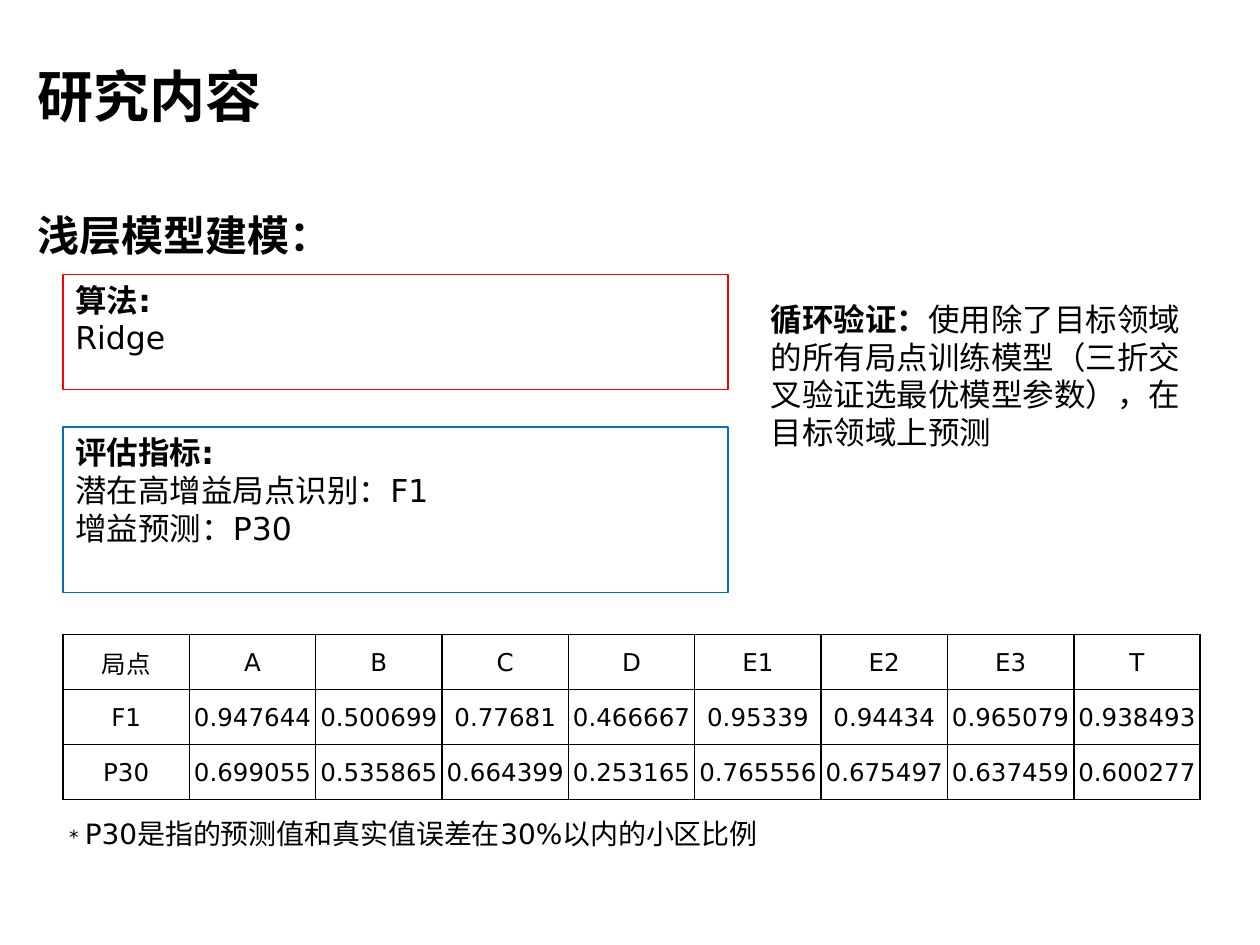
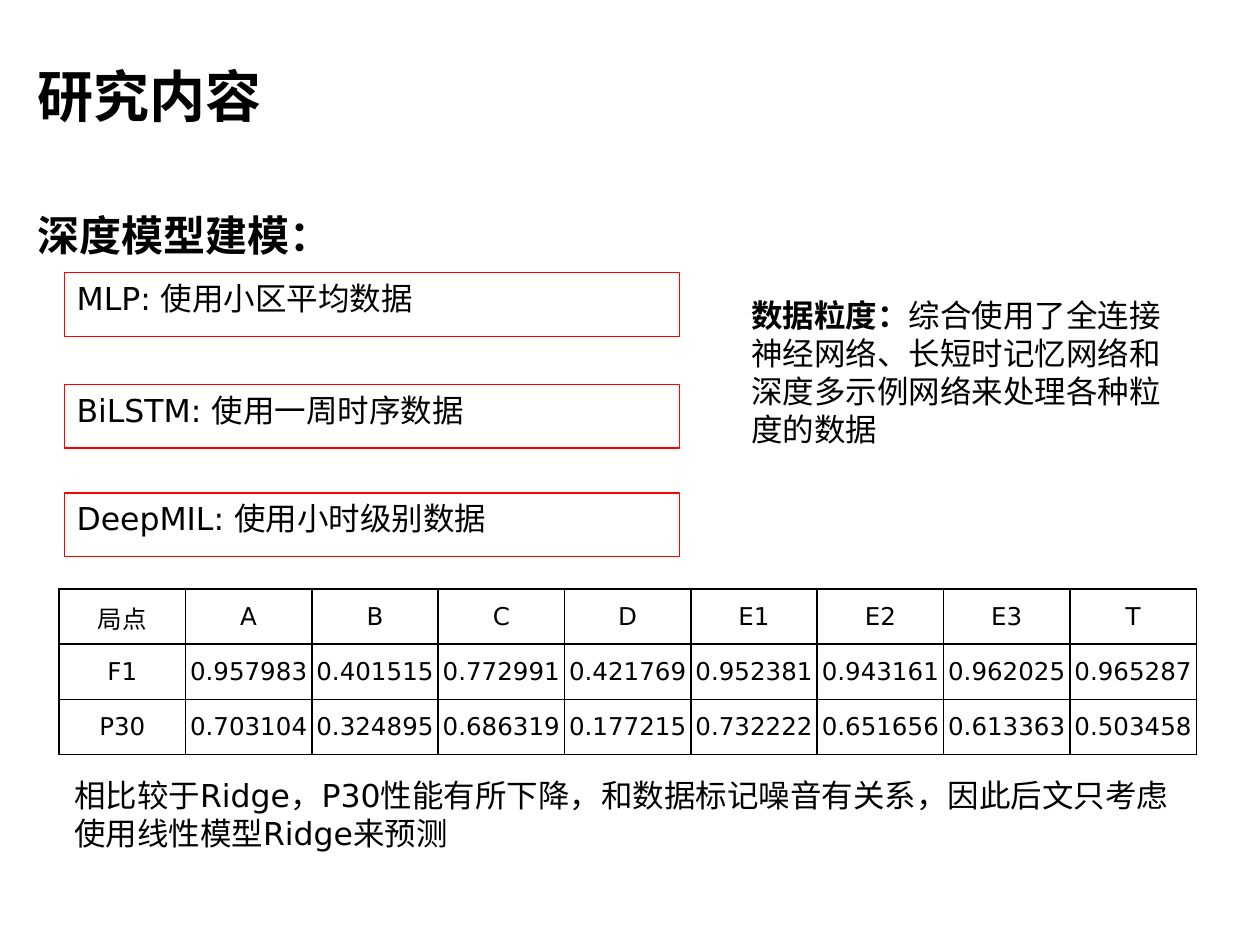
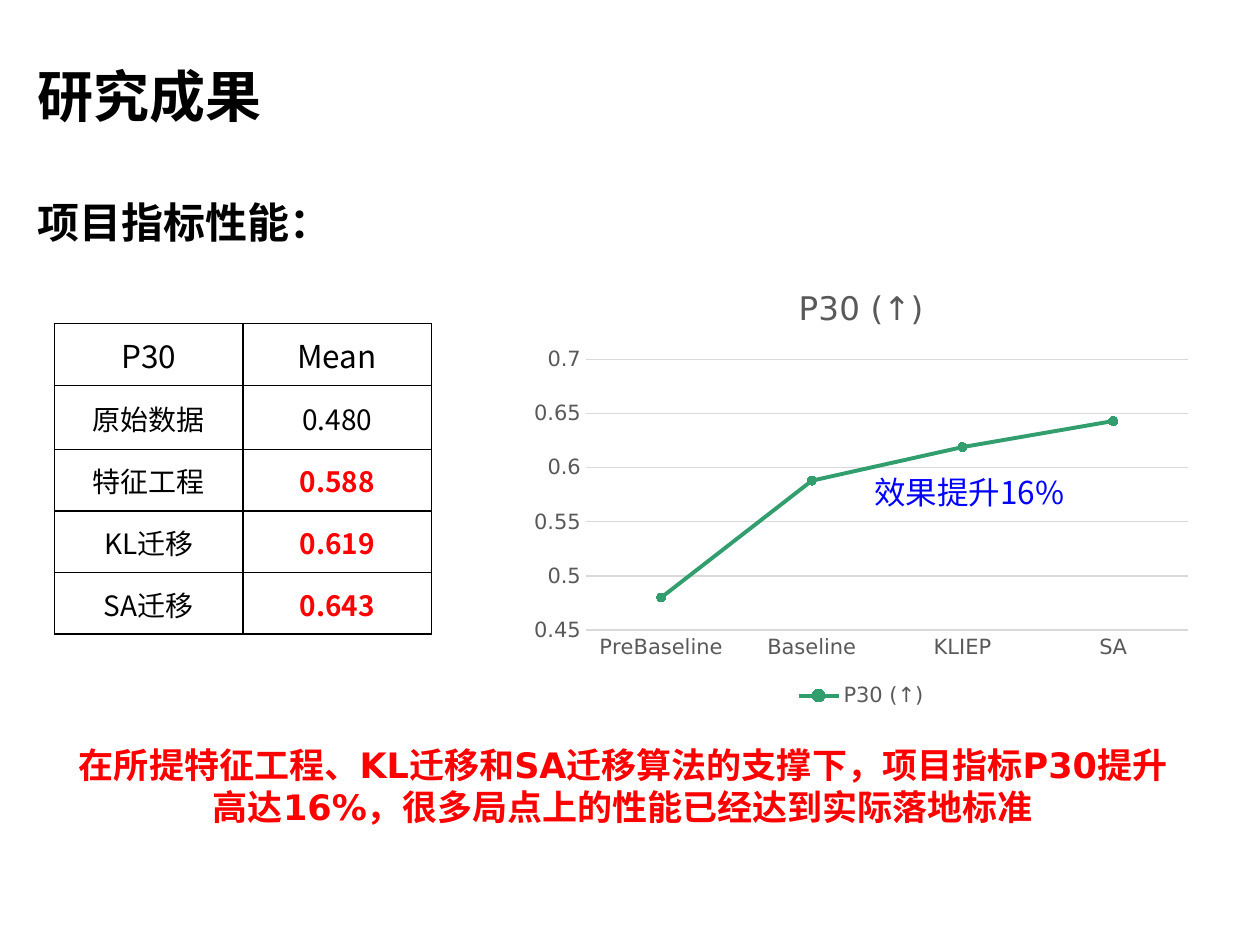
"""Build three slides on model training, evaluation and project results."""
from lxml import etree
from pptx import Presentation
from pptx.chart.data import CategoryChartData
from pptx.dml.color import RGBColor
from pptx.enum.chart import XL_CHART_TYPE, XL_LEGEND_POSITION, XL_MARKER_STYLE, XL_TICK_MARK
from pptx.enum.shapes import MSO_SHAPE
from pptx.enum.text import MSO_ANCHOR, PP_ALIGN
from pptx.oxml.ns import qn
from pptx.util import Pt

LINE_CHART = XL_CHART_TYPE.LINE_MARKERS_STACKED
BOTTOM = XL_LEGEND_POSITION.BOTTOM
CIRCLE = XL_MARKER_STYLE.CIRCLE
NO_TICKS = XL_TICK_MARK.NONE
RECTANGLE = MSO_SHAPE.RECTANGLE
TOP, MIDDLE = MSO_ANCHOR.TOP, MSO_ANCHOR.MIDDLE
LEFT, CENTER = PP_ALIGN.LEFT, PP_ALIGN.CENTER

BLACK = RGBColor(0x00, 0x00, 0x00)
RED = RGBColor(0xFF, 0x00, 0x00)
BLUE = RGBColor(0x00, 0x70, 0xC0)
BRIGHT_BLUE = RGBColor(0x00, 0x00, 0xFF)
GREEN = RGBColor(0x32, 0x9E, 0x6E)
DARK_GREEN = RGBColor(0x16, 0x75, 0x4D)
GRAY = RGBColor(0x59, 0x59, 0x59)
LIGHT_GRAY = RGBColor(0xD9, 0xD9, 0xD9)

SANS = "DejaVu Sans"
CHINESE = "Noto Sans CJK SC"
SERIF = "Times New Roman"

BOLD = {"bold": True}
TITLE_BOX = (14.4, 31.7, 442, 46)
SITES = ("局点", "A", "B", "C", "D", "E1", "E2", "E3", "T")
SITE_COLUMNS = [72.2] * len(SITES)
SITE_ROWS = [31.45] * 3

SHALLOW = {
    "title": "研究内容",
    "heading": ("浅层模型建模：", 101.5),
    "panels": [
        ((36, 156.8, 380, 65.8), RED, [[("算法:", BOLD)], "Ridge"]),
        ((36, 244, 380, 94.6), BLUE,
         [[("评估指标:", BOLD)], "潜在高增益局点识别：F1", "增益预测：P30"]),
    ],
    "texts": [
        ((433.5, 167.8, 255, 152.6),
         [[("循环验证：", BOLD),
           ("使用除了目标领域的所有局点训练模型（三折交叉验证选最优模型参数），在目标领域上预测", {})]]),
        ((32.4, 463, 487.5, 26.6),
         [[("* ", {"size": 11}),
           ("P30是指的预测值和真实值误差在30%以内的小区比例", {"size": 16})]]),
    ],
    "table_at": (36, 362.7),
    "scores": [
        ("F1", "0.947644", "0.500699", "0.77681", "0.466667",
         "0.95339", "0.94434", "0.965079", "0.938493"),
        ("P30", "0.699055", "0.535865", "0.664399", "0.253165",
         "0.765556", "0.675497", "0.637459", "0.600277"),
    ],
}
DEEP = {
    "title": "研究内容",
    "heading": ("深度模型建模：", 101.5),
    "panels": [
        ((36.7, top, 351.4, 36.3), RED, [text])
        for top, text in (
            (155.9, "MLP: 使用小区平均数据"),
            (219.7, "BiLSTM: 使用一周时序数据"),
            (281.7, "DeepMIL: 使用小时级别数据"),
        )
    ],
    "texts": [
        ((422.3, 165.8, 255, 152.6),
         [[("数据粒度：", BOLD),
           ("综合使用了全连接神经网络、长短时记忆网络和深度多示例网络来处理各种粒度的数据", {})]]),
        ((35.3, 440, 648, 51),
         ["相比较于Ridge，P30性能有所下降，和数据标记噪音有关系，因此后文只考虑使用线性模型Ridge来预测"]),
    ],
    "table_at": (33.8, 336.7),
    "scores": [
        ("F1", "0.957983", "0.401515", "0.772991", "0.421769",
         "0.952381", "0.943161", "0.962025", "0.965287"),
        ("P30", "0.703104", "0.324895", "0.686319", "0.177215",
         "0.732222", "0.651656", "0.613363", "0.503458"),
    ],
}
RESULTS_TITLE = "研究成果"
RESULTS_HEADING = ("项目指标性能：", 94.3)
MEANS = [
    ("P30", "Mean"),
    ("原始数据", "0.480"),
    ("特征工程", "0.588"),
    ("KL迁移", "0.619"),
    ("SA迁移", "0.643"),
]
MEAN_ROWS = (35.2, 36.6, 35.2, 35.2, 35.2)
CURVE_NAME = "P30 (↑)"
CURVE = {"PreBaseline": 0.48, "Baseline": 0.588, "KLIEP": 0.619, "SA": 0.643}
GAIN = "效果提升16%"
CONCLUSION = "在所提特征工程、KL迁移和SA迁移算法的支撑下，项目指标P30提升高达16%，很多局点上的性能已经达到实际落地标准"


def points(values):
    return [Pt(value) for value in values]


def style_font(font, size, color, name=SANS, bold=False):
    font.size, font.name, font.bold = Pt(size), name, bold
    font.color.rgb = color


def write_text(frame, paragraphs, size=18, color=BLACK, name=SANS, bold=False,
               align=LEFT, anchor=TOP, spacing=None):
    """Fill a frame; a paragraph is a string or a list of (text, overrides)."""
    frame.word_wrap = True
    frame.vertical_anchor = anchor
    for index, runs in enumerate(paragraphs):
        paragraph = frame.add_paragraph() if index else frame.paragraphs[0]
        paragraph.alignment = align
        if spacing:
            paragraph.line_spacing = spacing
        for text, overrides in [(runs, {})] if isinstance(runs, str) else runs:
            run = paragraph.add_run()
            run.text = text
            base = {"size": size, "color": color, "name": name, "bold": bold}
            style_font(run.font, **{**base, **overrides})
            east_asian = etree.SubElement(run.font._element, qn("a:ea"))
            east_asian.set("typeface", CHINESE)


def add_text(slide, box, paragraphs, **text_format):
    shape = slide.shapes.add_textbox(*points(box))
    write_text(shape.text_frame, paragraphs, **text_format)


def add_panel(slide, box, color, paragraphs):
    shape = slide.shapes.add_shape(RECTANGLE, *points(box))
    shape.shadow.inherit = False
    shape.fill.background()
    shape.line.color.rgb = color
    shape.line.width = Pt(0.75)
    write_text(shape.text_frame, paragraphs)


def add_borders(cell):
    properties = cell._tc.get_or_add_tcPr()
    for index, side in enumerate(("lnL", "lnR", "lnT", "lnB")):
        line = etree.Element(qn(f"a:{side}"), w=str(Pt(1)))
        fill = etree.SubElement(line, qn("a:solidFill"))
        etree.SubElement(fill, qn("a:srgbClr"), val=str(BLACK))
        properties.insert(index, line)


def add_grid(slide, position, widths, heights, rows, cell_format):
    """Add a ruled table; cell_format gives the text format for a row and column."""
    size = (sum(widths), sum(heights))
    table = slide.shapes.add_table(len(rows), len(widths), *points(position + size)).table
    table.first_row = table.horz_banding = False
    for column, width in zip(table.columns, widths):
        column.width = Pt(width)
    for row_index, values in enumerate(rows):
        table.rows[row_index].height = Pt(heights[row_index])
        for column_index, value in enumerate(values):
            cell = table.cell(row_index, column_index)
            cell.margin_left = cell.margin_right = cell.margin_top = Pt(0.75)
            cell.margin_bottom = 0
            cell.fill.background()
            add_borders(cell)
            cell.vertical_anchor = MIDDLE
            text_format = cell_format(row_index, column_index)
            write_text(cell.text_frame, [value], align=CENTER, anchor=MIDDLE, **text_format)


def score_format(row, column):
    return {"size": 14, "name": SANS if row or column else CHINESE}


def mean_format(row, column):
    improved = row > 1 and column == 1
    return {"size": 16 if row else 18, "name": CHINESE,
            "color": RED if improved else BLACK, "bold": improved}


def add_curve(slide, box):
    data = CategoryChartData()
    data.categories = list(CURVE)
    data.add_series(CURVE_NAME, list(CURVE.values()))
    chart = slide.shapes.add_chart(LINE_CHART, *points(box), data).chart
    style_font(chart.font, 10, BLACK)

    chart.has_title = True
    title_paragraph = chart.chart_title.text_frame.paragraphs[0]
    title_run = title_paragraph.add_run()
    title_run.text = CURVE_NAME
    style_font(title_run.font, 18.6, GRAY)

    chart.has_legend = True
    chart.legend.position = BOTTOM
    chart.legend.include_in_layout = False
    style_font(chart.legend.font, 12, GRAY)

    category_axis, value_axis = chart.category_axis, chart.value_axis
    for axis in (category_axis, value_axis):
        axis.major_tick_mark = axis.minor_tick_mark = NO_TICKS
        style_font(axis.tick_labels.font, 12, GRAY)
    value_axis.minimum_scale, value_axis.maximum_scale = 0.45, 0.7
    value_axis.major_unit = 0.05
    value_axis.format.line.fill.background()
    for line in (category_axis.format.line, value_axis.major_gridlines.format.line):
        line.color.rgb = LIGHT_GRAY
        line.width = Pt(0.75)

    chart.plots[0].vary_by_categories = False
    series = chart.plots[0].series[0]
    series.smooth = False
    series.format.line.color.rgb = GREEN
    series.format.line.width = Pt(2.25)
    series.marker.style, series.marker.size = CIRCLE, 5
    series.marker.format.fill.solid()
    series.marker.format.fill.fore_color.rgb = DARK_GREEN
    series.marker.format.line.color.rgb = GREEN


def add_slide(presentation, title, heading):
    slide = presentation.slides.add_slide(presentation.slide_layouts[5])
    shape = slide.shapes.title
    shape.left, shape.top, shape.width, shape.height = points(TITLE_BOX)
    write_text(shape.text_frame, [title], size=32, name=CHINESE, bold=True)
    text, top = heading
    add_text(slide, (14.4, top, 363, 46.8), [text], size=24, name=SERIF, bold=True, spacing=1.5)
    return slide


def add_model_slide(presentation, content):
    slide = add_slide(presentation, content["title"], content["heading"])
    for box, color, paragraphs in content["panels"]:
        add_panel(slide, box, color, paragraphs)
    for box, paragraphs in content["texts"]:
        add_text(slide, box, paragraphs)
    add_grid(slide, content["table_at"], SITE_COLUMNS, SITE_ROWS,
             [SITES] + content["scores"], score_format)


def add_results_slide(presentation):
    slide = add_slide(presentation, RESULTS_TITLE, RESULTS_HEADING)
    add_curve(slide, (297.4, 151.2, 389.5, 256.3))
    add_text(slide, (492.5, 267, 147.6, 36), [GAIN], name=CHINESE, color=BRIGHT_BLUE)
    add_grid(slide, (31, 185), (107.8, 107.8), MEAN_ROWS, MEANS, mean_format)
    add_text(slide, (32.4, 421.2, 647.3, 55.4), [CONCLUSION],
             size=20, color=RED, bold=True, align=CENTER)


def main():
    presentation = Presentation()
    presentation.slide_width, presentation.slide_height = Pt(720), Pt(540)
    for content in (SHALLOW, DEEP):
        add_model_slide(presentation, content)
    add_results_slide(presentation)
    presentation.save("out.pptx")


if __name__ == "__main__":
    main()
